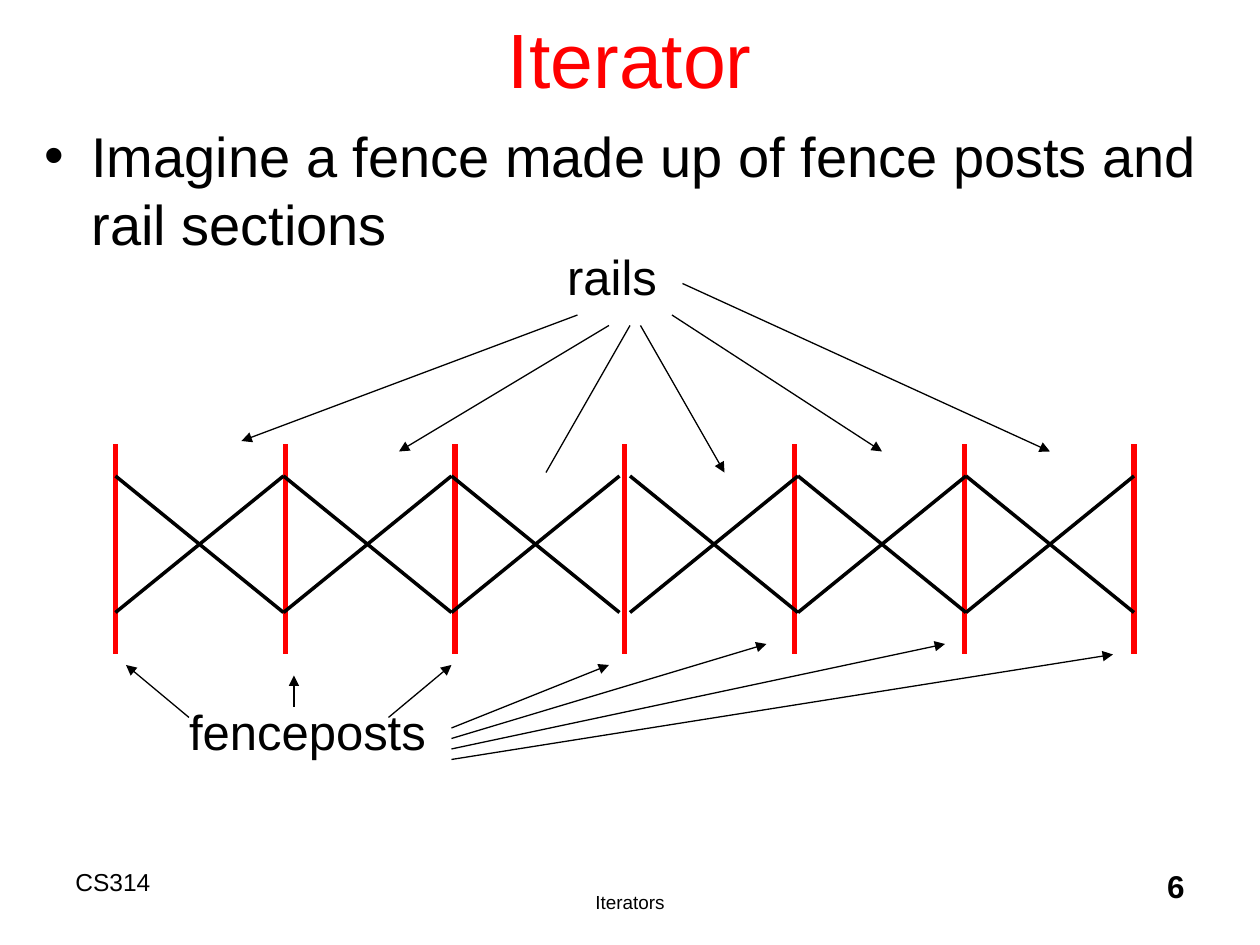
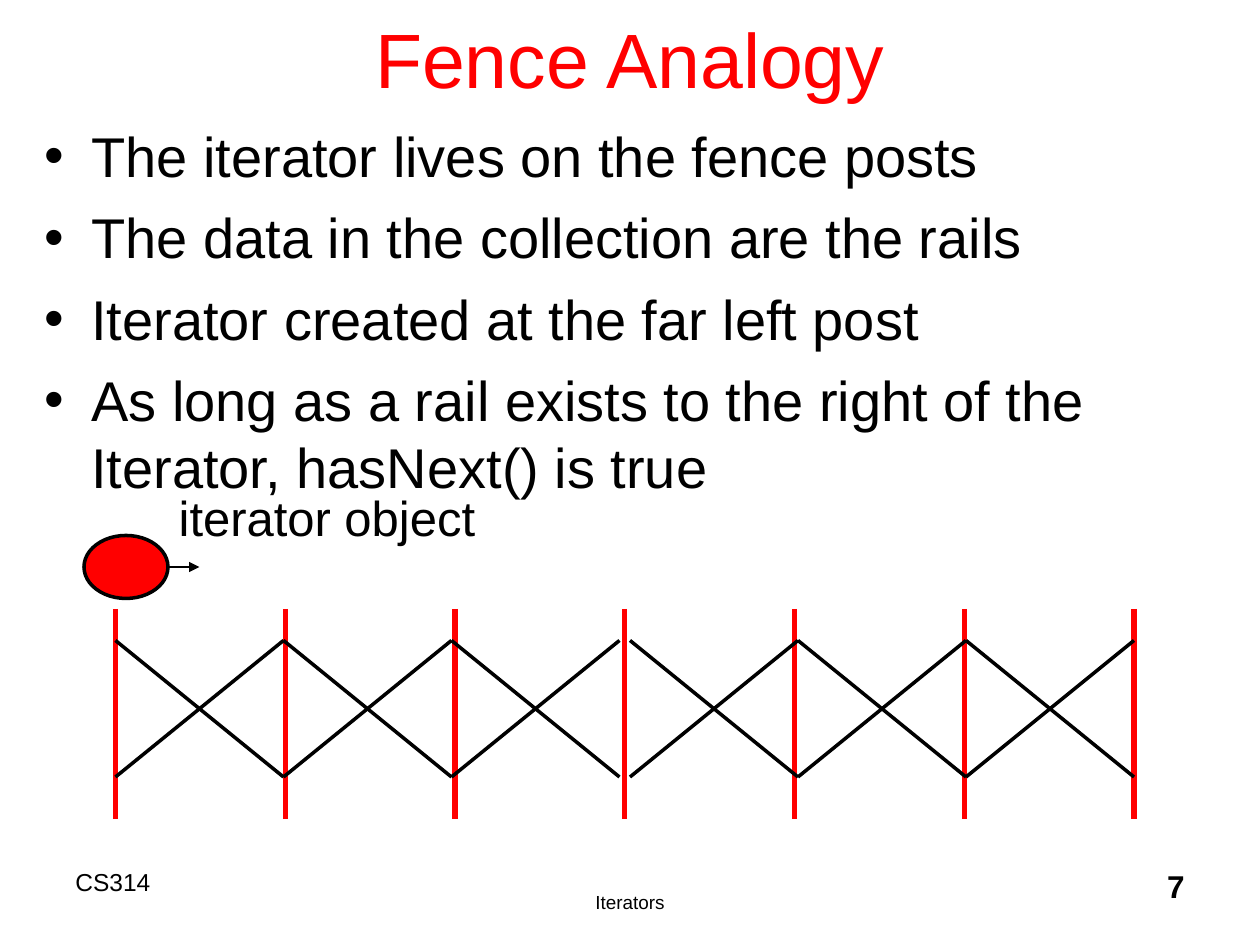
from lxml.etree import SubElement
from pptx import Presentation
from pptx.dml.color import RGBColor
from pptx.enum.shapes import MSO_CONNECTOR as Connector, MSO_SHAPE as Shape
from pptx.enum.text import MSO_ANCHOR as Anchor, MSO_AUTO_SIZE as AutoSize, PP_ALIGN as Align
from pptx.oxml.ns import qn
from pptx.util import Pt

RED = RGBColor(0xFF, 0, 0)
BLACK = RGBColor(0, 0, 0)
FONT = "Arial"

TITLE_BOX = (54, -12, 612, 90)
BODY_BOX = (18, 66, 684, 432)
FOOTER_BOX = (36, 492, 648, 36)
FENCE_LEFT, FENCE_WIDTH, FENCE_HEIGHT = 66, 582, 120
SECTIONS = 6
RAIL_WIDTH, RAIL_HEIGHT, RAIL_TOP = 96, 78, 18
MIDDLE_GAP = 6

RAIL_POINTERS = [
    ((264, -74), (72, -2), True),
    ((282, -68), (162, 4), True),
    ((294, -68), (246, 16), False),
    ((300, -68), (348, 16), True),
    ((318, -74), (438, 4), True),
    ((324, -92), (534, 4), True),
]
NEAR_POST_POINTERS = [
    ((42, 156), (6, 126)),
    ((102, 150), (102, 132)),
    ((156, 156), (192, 126)),
]
FAR_POST_TIPS = [(282, 126), (372, 114), (474, 114), (570, 120)]


def style_paragraph(para, size, color=BLACK, align=Align.LEFT, bold=False):
    """Give one paragraph its font, colour and alignment."""
    para.alignment = align
    para.font.name = FONT
    para.font.size = Pt(size)
    para.font.bold = bold
    para.font.color.rgb = color


def place(shape, box):
    """Move a shape to a box of left, top, width and height."""
    shape.left, shape.top, shape.width, shape.height = map(Pt, box)


def add_label(page, box, text, size, align=Align.LEFT, bold=False):
    """Add a one-line text box."""
    label = page.shapes.add_textbox(*map(Pt, box))
    label.text_frame.word_wrap = False
    label.text_frame.text = text
    style_paragraph(label.text_frame.paragraphs[0], size, align=align, bold=bold)


def add_line(page, origin, start, end, color=BLACK, width=0.75, arrow=False):
    """Draw a straight line between two points counted from the origin."""
    left, top = origin
    line = page.shapes.add_connector(
        Connector.STRAIGHT,
        Pt(left + start[0]), Pt(top + start[1]), Pt(left + end[0]), Pt(top + end[1]))
    line.line.color.rgb = color
    line.line.width = Pt(width)
    if arrow:
        SubElement(line.line._get_or_add_ln(), qn("a:tailEnd"), type="triangle")
    SubElement(line._element.spPr, qn("a:effectLst"))


def add_title(page, box, text):
    """Fill the title placeholder."""
    title = page.shapes.title
    place(title, box)
    frame = title.text_frame
    frame.text = text
    frame.auto_size = AutoSize.NONE
    frame.vertical_anchor = Anchor.MIDDLE
    style_paragraph(frame.paragraphs[0], 44, RED, Align.CENTER)


def add_bullets(page, box, items):
    """Fill the body placeholder with a bulleted list."""
    body = page.placeholders[1]
    place(body, box)
    frame = body.text_frame
    frame.text = "\n".join(items)
    frame.auto_size = AutoSize.NONE
    for para in frame.paragraphs:
        style_paragraph(para, 32)
        para.space_before = Pt(8)
        para.line_spacing = 1.0
        properties = para._p.get_or_add_pPr()
        properties.set("marL", str(Pt(27)))
        properties.set("indent", str(Pt(-27)))


def add_footer(page, box, number):
    """Write the course, the topic and the page number along the bottom."""
    left, top, width, height = box
    add_label(page, (left, top, 180, height), "CS314", 14)
    add_label(page, (left + 186, top + 13.4, 276, 24), "Iterators", 10.8, Align.CENTER)
    add_label(page, (left + width - 150, top, 150, height), str(number), 18, Align.RIGHT, True)


def add_fence(page, origin):
    """Draw the evenly spaced posts and the crossed rails between them."""
    for post in range(SECTIONS + 1):
        x = post * FENCE_WIDTH / SECTIONS
        add_line(page, origin, (x, 0), (x, FENCE_HEIGHT), RED, 3)
    high, low = RAIL_TOP, RAIL_TOP + RAIL_HEIGHT
    for section in range(SECTIONS):
        x = section * RAIL_WIDTH + (MIDDLE_GAP if section >= SECTIONS // 2 else 0)
        add_line(page, origin, (x, high), (x + RAIL_WIDTH, low), width=2)
        add_line(page, origin, (x, low), (x + RAIL_WIDTH, high), width=2)


def add_fence_names(page, origin):
    """Name the posts and rails and point at each of them."""
    left, top = origin
    add_label(page, (left + 35, top + 143.4, 150, 41), "fenceposts", 28)
    add_label(page, (left + 251, top - 116.6, 65.5, 41), "rails", 28)
    for start, end in NEAR_POST_POINTERS:
        add_line(page, origin, start, end, arrow=True)
    for row, tip in enumerate(FAR_POST_TIPS):
        add_line(page, origin, (192, 162 + 6 * row), tip, arrow=True)
    for start, end, arrow in RAIL_POINTERS:
        add_line(page, origin, start, end, arrow=arrow)


def add_iterator(page, origin):
    """Set the iterator marker above the first post, facing right."""
    left, top = origin
    marker = page.shapes.add_shape(Shape.OVAL, Pt(left - 18), Pt(top - 42), Pt(48), Pt(36))
    marker.shadow.inherit = False
    marker.fill.solid()
    marker.fill.fore_color.rgb = RED
    marker.line.color.rgb = BLACK
    marker.line.width = Pt(2)
    add_line(page, origin, (30, -24), (48, -24), arrow=True)
    add_label(page, (left + 29, top - 73, 183.6, 41), "iterator object", 28)


def add_fence_page(deck, number, title, items, fence_top, annotate):
    """Build one slide with a title, a list and an annotated fence."""
    page = deck.slides.add_slide(deck.slide_layouts[1])
    origin = (FENCE_LEFT, fence_top)
    add_footer(page, FOOTER_BOX, number)
    add_title(page, TITLE_BOX, title)
    add_bullets(page, BODY_BOX, items)
    add_fence(page, origin)
    annotate(page, origin)


def main():
    """Build and save the deck."""
    deck = Presentation()
    deck.slide_width, deck.slide_height = Pt(720), Pt(540)
    add_fence_page(deck, 6, "Iterator", [
        "Imagine a fence made up of fence posts and rail sections",
    ], 254, add_fence_names)
    add_fence_page(deck, 7, "Fence Analogy", [
        "The iterator lives on the fence posts",
        "The data in the collection are the rails",
        "Iterator created at the far left post",
        "As long as a rail exists to the right of the Iterator, hasNext() is true",
    ], 348, add_iterator)
    deck.save("out.pptx")


if __name__ == "__main__":
    main()
